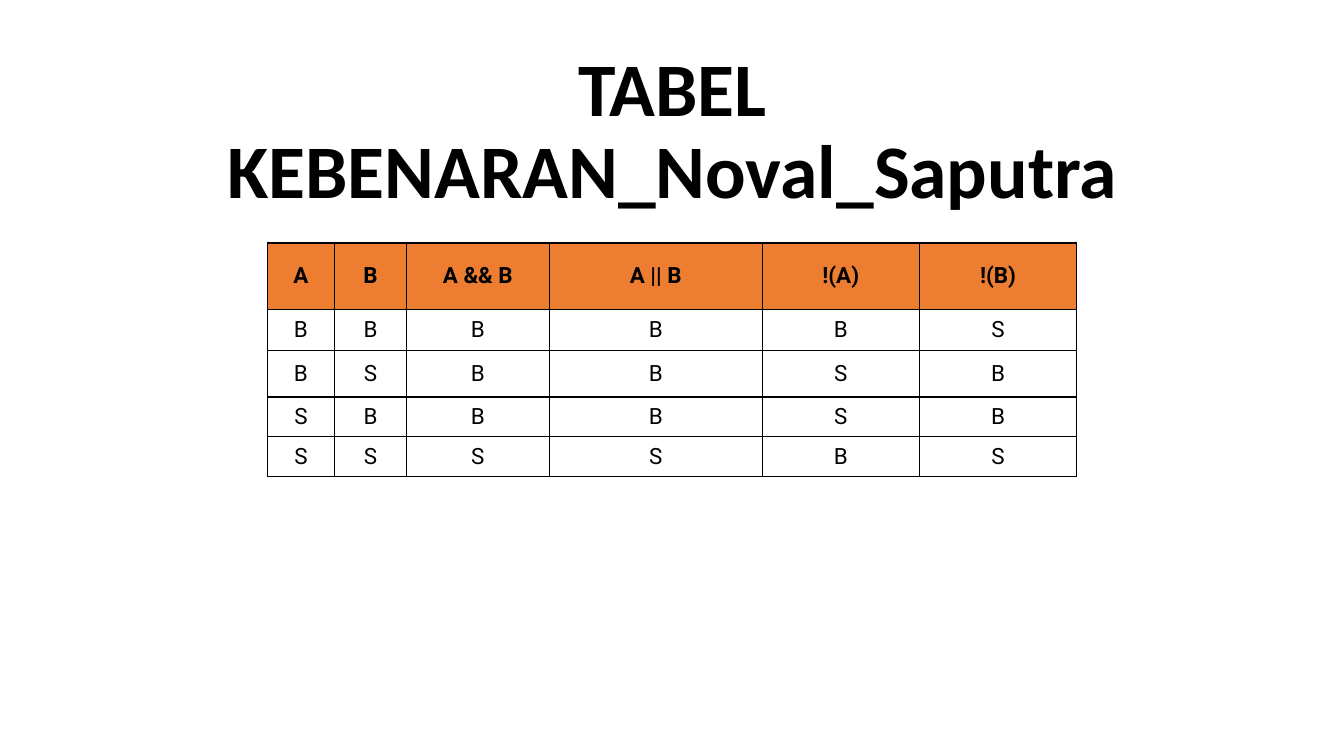
from dataclasses import dataclass

from lxml import etree
from pptx import Presentation
from pptx.dml.color import RGBColor
from pptx.enum import text
from pptx.oxml import ns
from pptx.util import Inches, Pt


@dataclass(frozen=True)
class Theme:
    ink: str = "000000"
    header_fill: str = "ED7D31"
    body_fill: str = "FFFFFF"
    title_font: str = "Calibri"
    table_font: str = "Roboto"
    title_size: int = 54
    table_size: int = 16
    border_width: int = 1


THEME = Theme()

COLUMN_WIDTHS = [0.67, 0.71, 1.42, 2.11, 1.56, 1.56]
ROW_HEIGHTS = [0.66, 0.41, 0.46, 0.39, 0.4]
HEADERS = ["A", "B", "A && B", "A || B", "!(A)", "!(B)"]
TRUTH_ROWS = ["BBBBBS", "BSBBSB", "SBBBSB", "SSSSBS"]


def add_span(para, words, font, size, bold):
    """Add one centred run to a paragraph."""
    para.alignment = text.PP_ALIGN.CENTER
    span = para.add_run()
    span.text = words
    span.font.name = font
    span.font.size = Pt(size)
    span.font.bold = bold
    span.font.color.rgb = RGBColor.from_string(THEME.ink)


def add_title(page, words):
    box = page.shapes.add_textbox(Inches(1.67), Inches(1.23), Inches(10), Inches(0.95))
    frame = box.text_frame
    frame.word_wrap = True
    frame.vertical_anchor = text.MSO_ANCHOR.BOTTOM
    para = frame.paragraphs[0]
    para.line_spacing = 0.9
    add_span(para, words, THEME.title_font, THEME.title_size, True)


def add_borders(cell):
    """Draw all four sides; the lines must come before the fill."""
    properties = cell._tc.get_or_add_tcPr()
    for index, side in enumerate(("lnL", "lnR", "lnT", "lnB")):
        line = etree.Element(ns.qn(f"a:{side}"), w=str(Pt(THEME.border_width)))
        fill = etree.SubElement(line, ns.qn("a:solidFill"))
        etree.SubElement(fill, ns.qn("a:srgbClr"), val=THEME.ink)
        properties.insert(index, line)


def fill_cell(cell, words, is_header):
    cell.vertical_anchor = text.MSO_ANCHOR.MIDDLE
    cell.fill.solid()
    color = THEME.header_fill if is_header else THEME.body_fill
    cell.fill.fore_color.rgb = RGBColor.from_string(color)
    add_span(cell.text_frame.paragraphs[0], words,
             THEME.table_font, THEME.table_size, is_header)
    add_borders(cell)


def add_truth_table(page, rows):
    table = page.shapes.add_table(
        len(rows), len(COLUMN_WIDTHS), Inches(2.65), Inches(2.41),
        Inches(sum(COLUMN_WIDTHS)), Inches(sum(ROW_HEIGHTS))).table
    for column, width in zip(table.columns, COLUMN_WIDTHS):
        column.width = Inches(width)
    for row, height in zip(table.rows, ROW_HEIGHTS):
        row.height = Inches(height)
    for row_index, values in enumerate(rows):
        for column_index, value in enumerate(values):
            fill_cell(table.cell(row_index, column_index), value, row_index == 0)


def main():
    # Deck and blank page
    deck = Presentation()
    deck.slide_width, deck.slide_height = Inches(13.33), Inches(7.5)
    page = deck.slides.add_slide(deck.slide_layouts[6])

    # Title and truth table
    add_title(page, "TABEL KEBENARAN_Noval_Saputra")
    add_truth_table(page, [HEADERS, *TRUTH_ROWS])

    deck.save("out.pptx")


if __name__ == "__main__":
    main()
